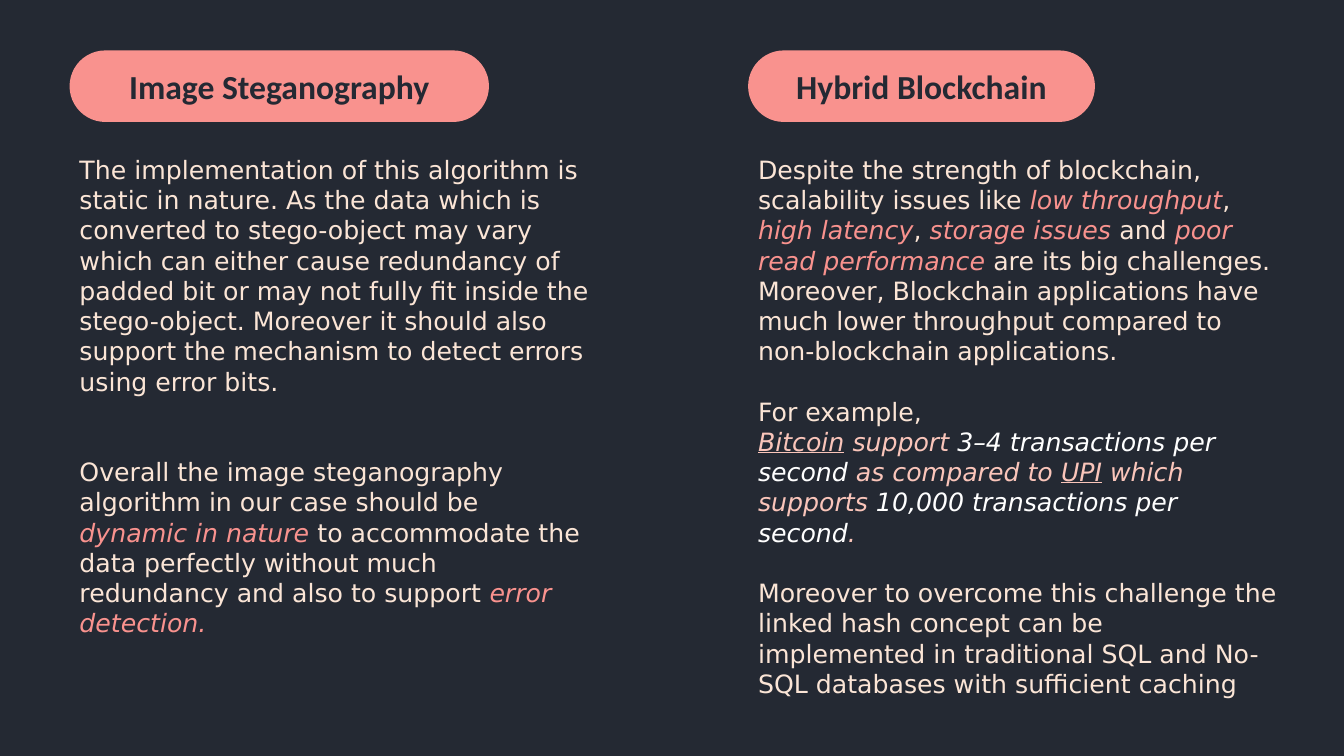
import dataclasses
import typing

import pptx
import pptx.dml.color
import pptx.enum.shapes
import pptx.enum.text
import pptx.util

Inches = pptx.util.Inches
Pt = pptx.util.Pt
Color = pptx.dml.color.RGBColor

NAVY = Color(0x24, 0x29, 0x33)
CORAL = Color(0xF9, 0x92, 0x8E)
CREAM = Color(0xFB, 0xE5, 0xD6)
BLUSH = Color(0xFA, 0xC5, 0xBA)
WHITE = Color(0xFF, 0xFF, 0xFF)

TOP = 0.5
PILL = 0.71
BODY = 1.48
LINE = 21.6


class Style(typing.NamedTuple):
    color: Color
    slant: bool = False
    under: bool = False


PLAIN = Style(CREAM)
KEY = Style(CORAL, slant=True)
SOFT = Style(BLUSH, slant=True)
TERM = Style(BLUSH, slant=True, under=True)
FACT = Style(WHITE, slant=True)


class Piece(typing.NamedTuple):
    text: str
    style: Style = PLAIN


@dataclasses.dataclass
class Para:
    pieces: list[Piece]
    gap: int = 0  # blank lines above


@dataclasses.dataclass
class Column:
    title: str
    left: float
    pill: float
    width: float
    height: float
    paras: list[Para]


COLUMNS = [
    Column("Image Steganography", 0.69, 4.16, 5.27, 4.95, [
        Para([Piece(
            "The implementation of this algorithm is static in nature. As the data "
            "which is converted to stego-object may vary which can either cause "
            "redundancy of padded bit or may not fully fit inside the stego-object. "
            "Moreover it should also support the mechanism to detect errors using "
            "error bits.")]),
        Para([
            Piece("Overall the image steganography algorithm in our case should be "),
            Piece("dynamic in nature", KEY),
            Piece(" to accommodate the data perfectly without much redundancy and "
                  "also to support "),
            Piece("error detection.", KEY),
        ], gap=2),
    ]),
    Column("Hybrid Blockchain", 7.42, 3.44, 5.35, 5.55, [
        Para([
            Piece("Despite the strength of blockchain, scalability issues like "),
            Piece("low throughput", KEY),
            Piece(", "),
            Piece("high latency", KEY),
            Piece(", "),
            Piece("storage issues ", KEY),
            Piece("and "),
            Piece("poor read performance", KEY),
            Piece(" are its big challenges. Moreover, Blockchain applications have "
                  "much lower throughput compared to non-blockchain applications."),
        ]),
        Para([Piece("For example,")], gap=1),
        Para([
            Piece("Bitcoin", TERM),
            Piece(" support ", SOFT),
            Piece("3–4 transactions per second", FACT),
            Piece(" as compared to ", SOFT),
            Piece("UPI", TERM),
            Piece(" which supports ", SOFT),
            Piece("10,000 transactions per second", FACT),
            Piece(".", SOFT),
        ]),
        Para([Piece(
            "Moreover to overcome this challenge the linked hash concept can be "
            "implemented in traditional SQL and No-SQL databases with sufficient "
            "caching")], gap=1),
    ]),
]


def add_title(slide, col: Column) -> None:
    pill = slide.shapes.add_shape(
        pptx.enum.shapes.MSO_SHAPE.ROUNDED_RECTANGLE,
        Inches(col.left), Inches(TOP), Inches(col.pill), Inches(PILL))
    pill.adjustments[0] = 0.5
    pill.shadow.inherit = False
    pill.fill.solid()
    pill.fill.fore_color.rgb = CORAL
    pill.line.fill.background()
    frame = pill.text_frame
    frame.text = col.title
    frame.vertical_anchor = pptx.enum.text.MSO_ANCHOR.MIDDLE
    para = frame.paragraphs[0]
    para.alignment = pptx.enum.text.PP_ALIGN.CENTER
    font = para.runs[0].font
    font.name = "Calibri"
    font.size = Pt(24)
    font.bold = True
    font.color.rgb = NAVY


def add_body(slide, col: Column) -> None:
    box = slide.shapes.add_textbox(
        Inches(col.left), Inches(BODY), Inches(col.width), Inches(col.height))
    frame = box.text_frame
    frame.word_wrap = True
    frame.auto_size = pptx.enum.text.MSO_AUTO_SIZE.SHAPE_TO_FIT_TEXT
    for i, item in enumerate(col.paras):
        para = frame.add_paragraph() if i else frame.paragraphs[0]
        if item.gap:
            para.space_before = Pt(item.gap * LINE)
        for piece in item.pieces:
            run = para.add_run()
            run.text = piece.text
            font = run.font
            font.name = "DejaVu Sans"
            font.size = Pt(18)
            font.color.rgb = piece.style.color
            font.italic = piece.style.slant
            font.underline = piece.style.under


def main() -> None:
    deck = pptx.Presentation()
    deck.slide_width = Inches(13.33)
    deck.slide_height = Inches(7.5)
    slide = deck.slides.add_slide(deck.slide_layouts[6])
    slide.background.fill.solid()
    slide.background.fill.fore_color.rgb = NAVY
    for col in COLUMNS:
        add_title(slide, col)
        add_body(slide, col)
    deck.save("out.pptx")


if __name__ == "__main__":
    main()
